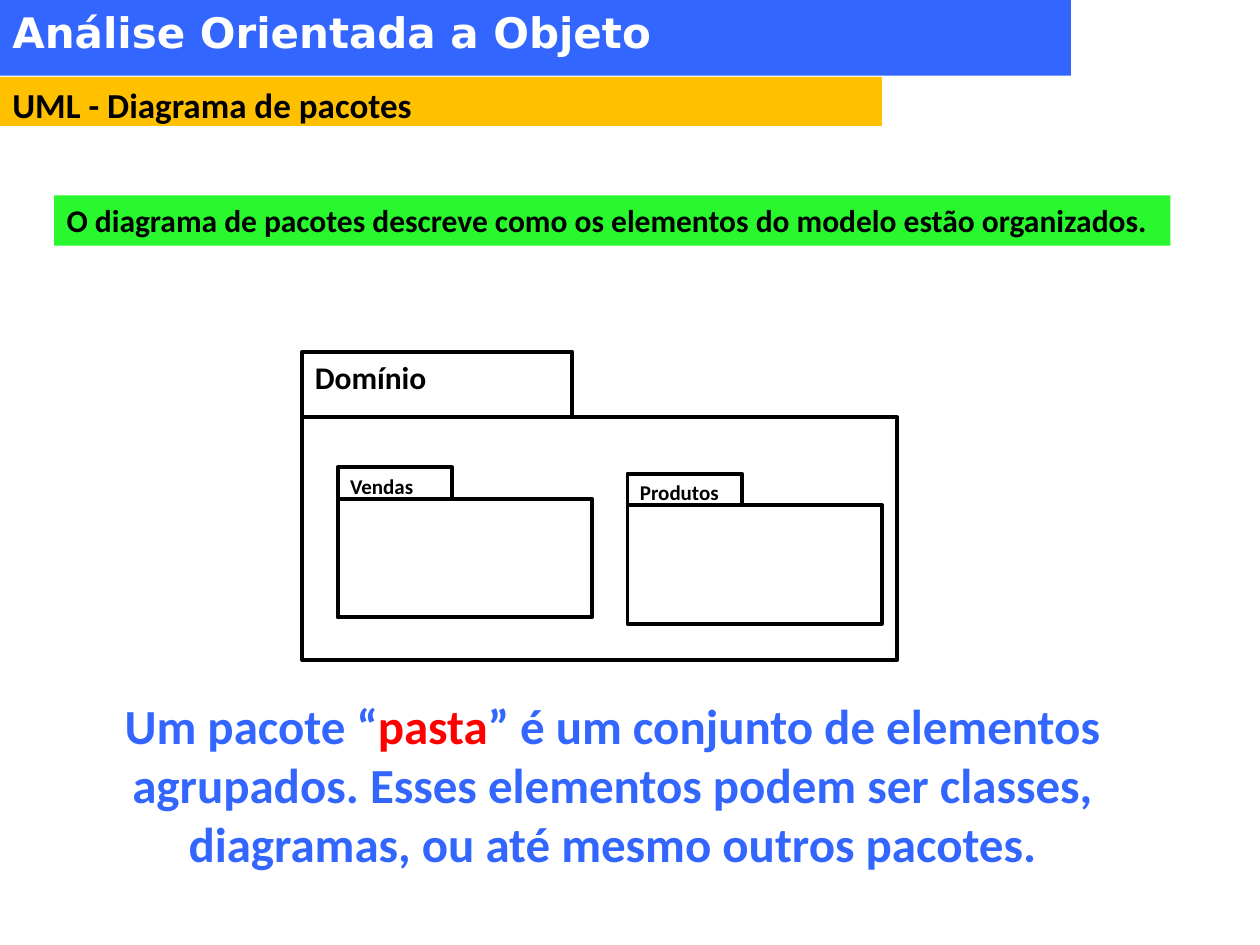
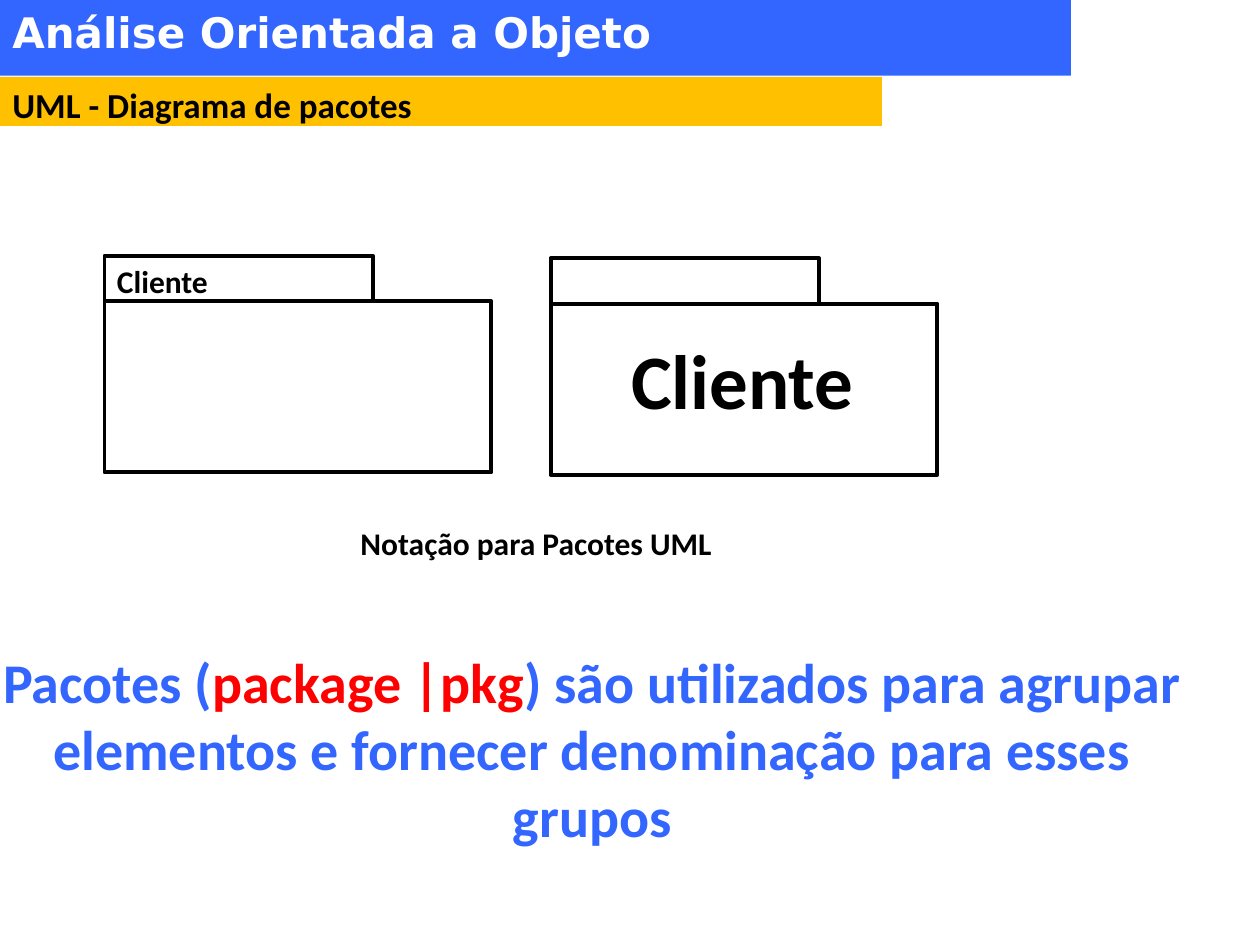
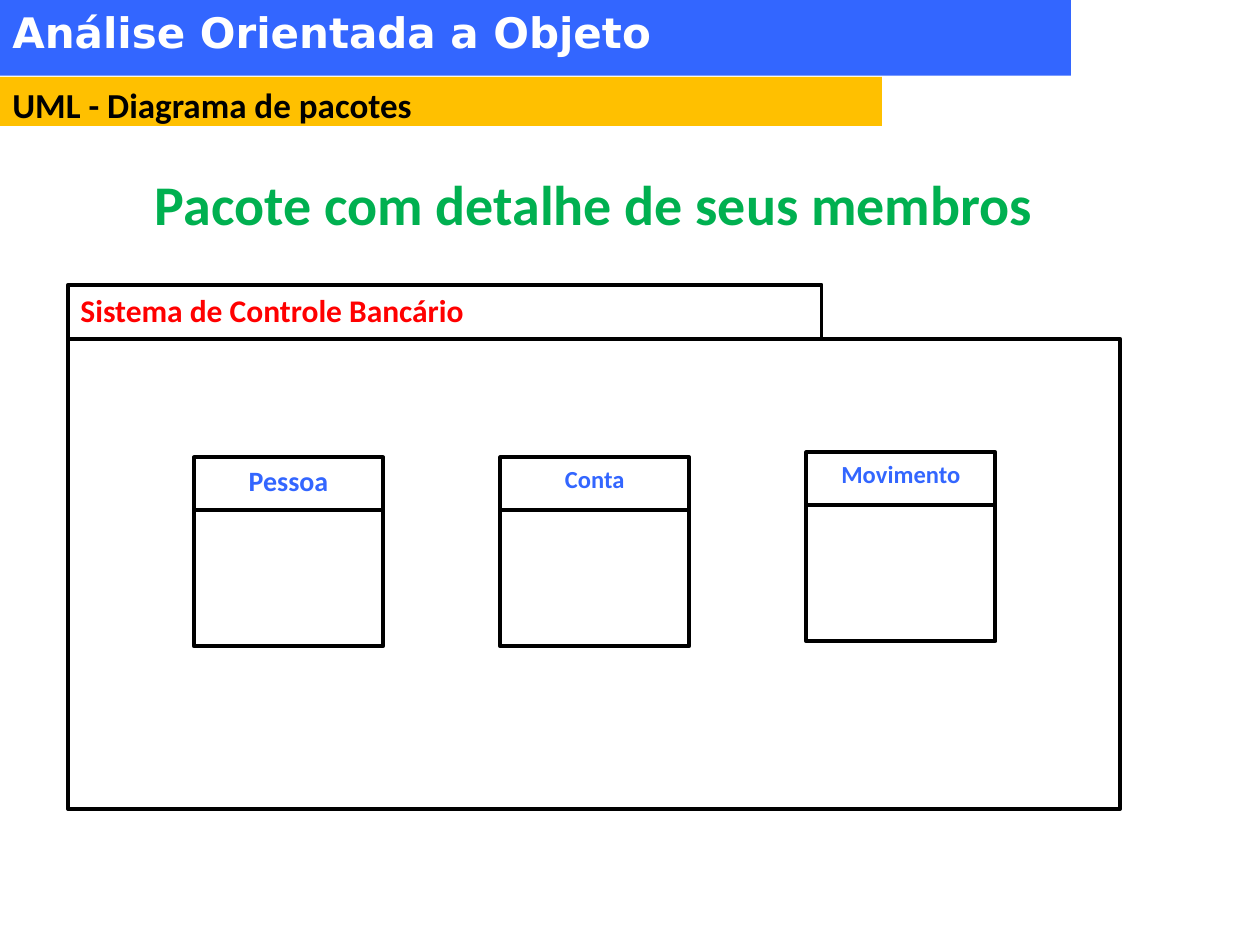
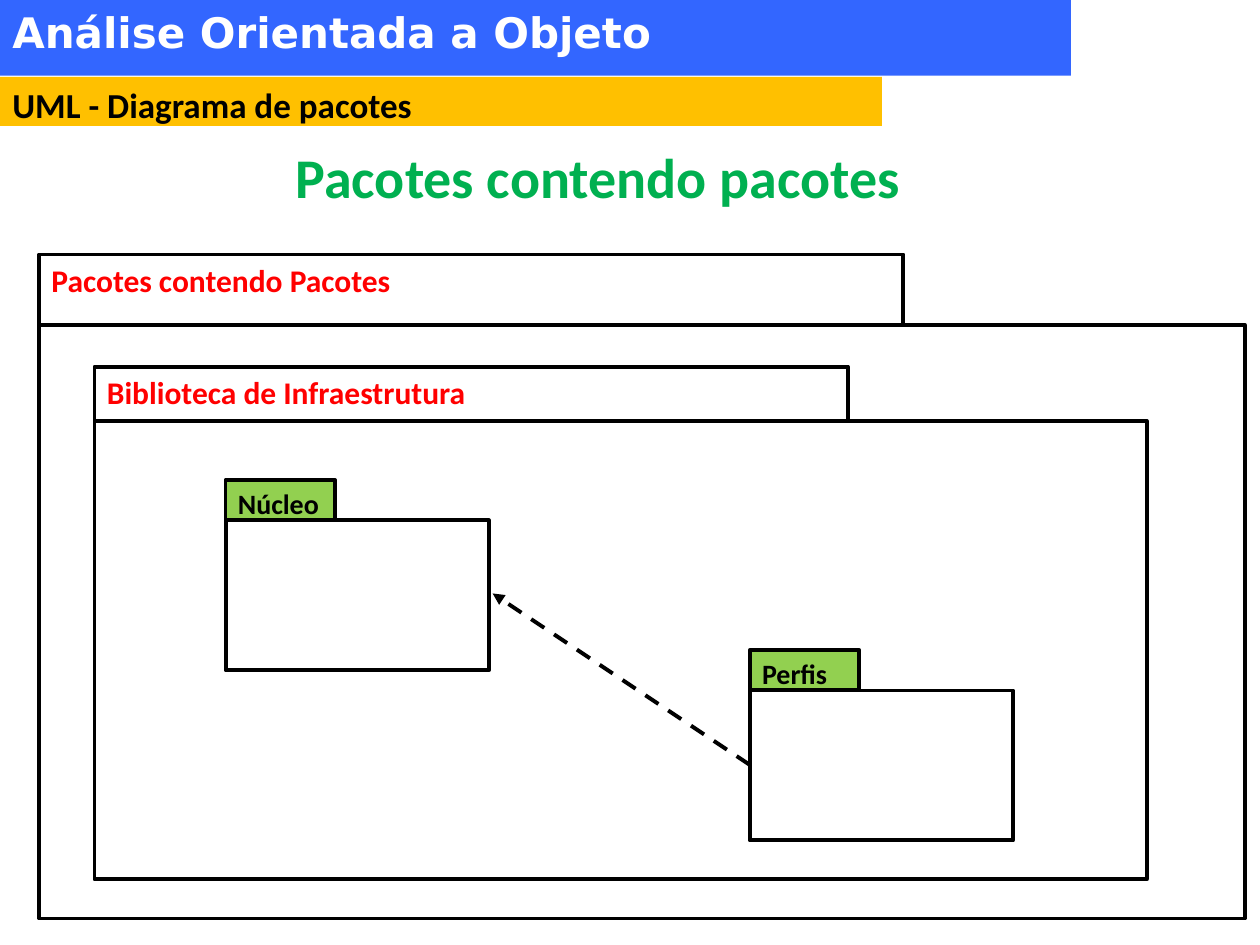
"""Build four slides on UML package diagrams."""
import pptx
import pptx.dml.color
import pptx.enum.dml
import pptx.enum.shapes
import pptx.enum.text
import pptx.oxml.ns
import pptx.util
from lxml import etree

RGB = pptx.dml.color.RGBColor
BLACK = RGB(0x00, 0x00, 0x00)
WHITE = RGB(0xFF, 0xFF, 0xFF)
BLUE = RGB(0x33, 0x66, 0xFF)
GOLD = RGB(0xFF, 0xC0, 0x00)
LIME = RGB(0x28, 0xF8, 0x2D)
GREEN = RGB(0x00, 0xB0, 0x50)
LEAF = RGB(0x92, 0xD0, 0x50)
RED = RGB(0xFF, 0x00, 0x00)

ALIGN = pptx.enum.text.PP_ALIGN
FIT = pptx.enum.text.MSO_AUTO_SIZE
RECT = pptx.enum.shapes.MSO_SHAPE.RECTANGLE
PEN = pptx.util.Pt(2.25)
FONT = {"name": "Calibri", "bold": True}
FRAME = {"word_wrap": True, "vertical_anchor": pptx.enum.text.MSO_ANCHOR.TOP}


def px(size):
    return pptx.util.Emu(size * 9144)


class Deck:
    def __init__(self):
        self.prs = pptx.Presentation()
        self.prs.slide_width, self.prs.slide_height = px(1000), px(750)

    def page(self):
        self.slide = self.prs.slides.add_slide(self.prs.slide_layouts[6])
        self.band(0, 61, 700, 39, GOLD, "UML - Diagrama de pacotes", 20)
        self.band(0, 0, 850, 60, BLUE, "Análise Orientada a Objeto", 24,
                  WHITE, name="DejaVu Sans")

    def group(self):
        return self.slide.shapes.add_group_shape().shapes

    def label(self, shape, spans, size, align=ALIGN.LEFT, frame=None, **font):
        text = shape.text_frame
        for key, val in {**FRAME, **(frame or {})}.items():
            setattr(text, key, val)
        para = text.paragraphs[0]
        para.alignment = align
        look = {**FONT, "size": pptx.util.Pt(size), **font}
        for words, color in spans:
            run = para.add_run()
            run.text = words
            run.font.color.rgb = color
            for key, val in look.items():
                setattr(run.font, key, val)

    def rect(self, home, x, y, w, h, fill):
        shape = home.add_shape(RECT, px(x), px(y), px(w), px(h))
        shape.shadow.inherit = False
        shape.fill.solid()
        shape.fill.fore_color.rgb = fill
        return shape

    def band(self, x, y, w, h, fill, words, size, color=BLACK, **style):
        shape = self.rect(self.slide.shapes, x, y, w, h, fill)
        shape.line.fill.background()
        self.label(shape, [(words, color)], size, **style)

    def box(self, home, x, y, w, h, fill=WHITE):
        shape = self.rect(home, x, y, w, h, fill)
        shape.line.color.rgb = BLACK
        shape.line.width = PEN
        return shape

    def text(self, x, y, w, h, spans, size, align=ALIGN.CENTER, wrap=True):
        shape = self.slide.shapes.add_textbox(px(x), px(y), px(w), px(h))
        frame = {"word_wrap": wrap, "auto_size": FIT.SHAPE_TO_FIT_TEXT}
        self.label(shape, spans, size, align, frame)

    def line(self, home, x1, y1, x2, y2):
        kind = pptx.enum.shapes.MSO_CONNECTOR.STRAIGHT
        line = home.add_connector(kind, px(x1), px(y1), px(x2), px(y2))
        line.line.color.rgb = BLACK
        line.line.width = PEN
        etree.SubElement(line.element.spPr, pptx.oxml.ns.qn("a:effectLst"))
        return line

    def arrow(self, x1, y1, x2, y2):
        line = self.line(self.slide.shapes, x1, y1, x2, y2)
        line.line.dash_style = pptx.enum.dml.MSO_LINE.DASH
        etree.SubElement(line.get_or_add_ln(), pptx.oxml.ns.qn("a:tailEnd"),
                         type="triangle")

    def pack(self, x, y, tab, body, words="", size=18, color=BLACK, fill=WHITE):
        home = self.group()
        self.box(home, x, y + tab[1], *body)
        top = self.box(home, x, y, *tab, fill)
        if words:
            self.label(top, [(words, color)], size)

    def entity(self, x, y, words, size):
        home = self.group()
        shape = self.box(home, x, y, 150, 150)
        self.label(shape, [(words, BLUE)], size, ALIGN.CENTER)
        self.line(home, x, y + 42, x + 150, y + 42)


def main():
    deck = Deck()

    deck.page()
    deck.band(43, 155, 886, 40, LIME,
              "O diagrama de pacotes descreve como os elementos do modelo "
              "estão organizados.", 18, align=ALIGN.JUSTIFY,
              frame={"auto_size": FIT.SHAPE_TO_FIT_TEXT})
    deck.text(28, 547, 916, 151, [
        ("Um pacote “", BLUE), ("pasta", RED),
        ("” é um conjunto de elementos agrupados. Esses elementos podem ser "
         "classes, diagramas, ou até mesmo outros pacotes.", BLUE)], 28)
    deck.pack(240, 279, (214, 52), (472, 193), "Domínio")
    for x, y, words in ((268, 371, "Vendas"), (498, 376, "Produtos")):
        deck.pack(x, y, (91, 25), (202, 94), words, 12)

    deck.page()
    for x, y, words in ((83, 203, "Cliente"), (437, 205, "")):
        deck.pack(x, y, (213, 36), (307, 136), words)
    deck.text(491, 259, 198, 84, [("Cliente", BLACK)], 44, ALIGN.LEFT, False)
    deck.text(174, 411, 503, 40, [("Notação para Pacotes UML", BLACK)], 18)
    deck.text(-20, 509, 980, 172, [
        ("Pacotes (", BLUE), ("package |pkg", RED),
        (") são utilizados para agrupar elementos e fornecer denominação "
         "para esses grupos", BLUE)], 32)

    deck.page()
    deck.text(72, 130, 799, 64,
              [("Pacote com detalhe de seus membros", GREEN)], 32)
    deck.pack(54, 226, (598, 43), (835, 373),
              "Sistema de Controle Bancário", color=RED)
    for col, (y, words, size) in enumerate((
            (363, "Pessoa", 16), (363, "Conta", 14), (359, "Movimento", 14))):
        deck.entity(154 + 243 * col, y, words, size)

    deck.page()
    deck.text(75, 108, 799, 64, [("Pacotes contendo pacotes", GREEN)], 32)
    deck.pack(31, 202, (686, 56), (957, 471),
              "Pacotes contendo Pacotes", color=RED)
    deck.pack(75, 291, (598, 43), (835, 364),
              "Biblioteca de Infraestrutura", color=RED)
    for x, y, words in ((595, 516, "Perfis"), (179, 381, "Núcleo")):
        deck.pack(x, y, (87, 32), (209, 119), words, 16, fill=LEAF)
    deck.arrow(595, 607, 391, 471)

    deck.prs.save("out.pptx")


if __name__ == "__main__":
    main()
